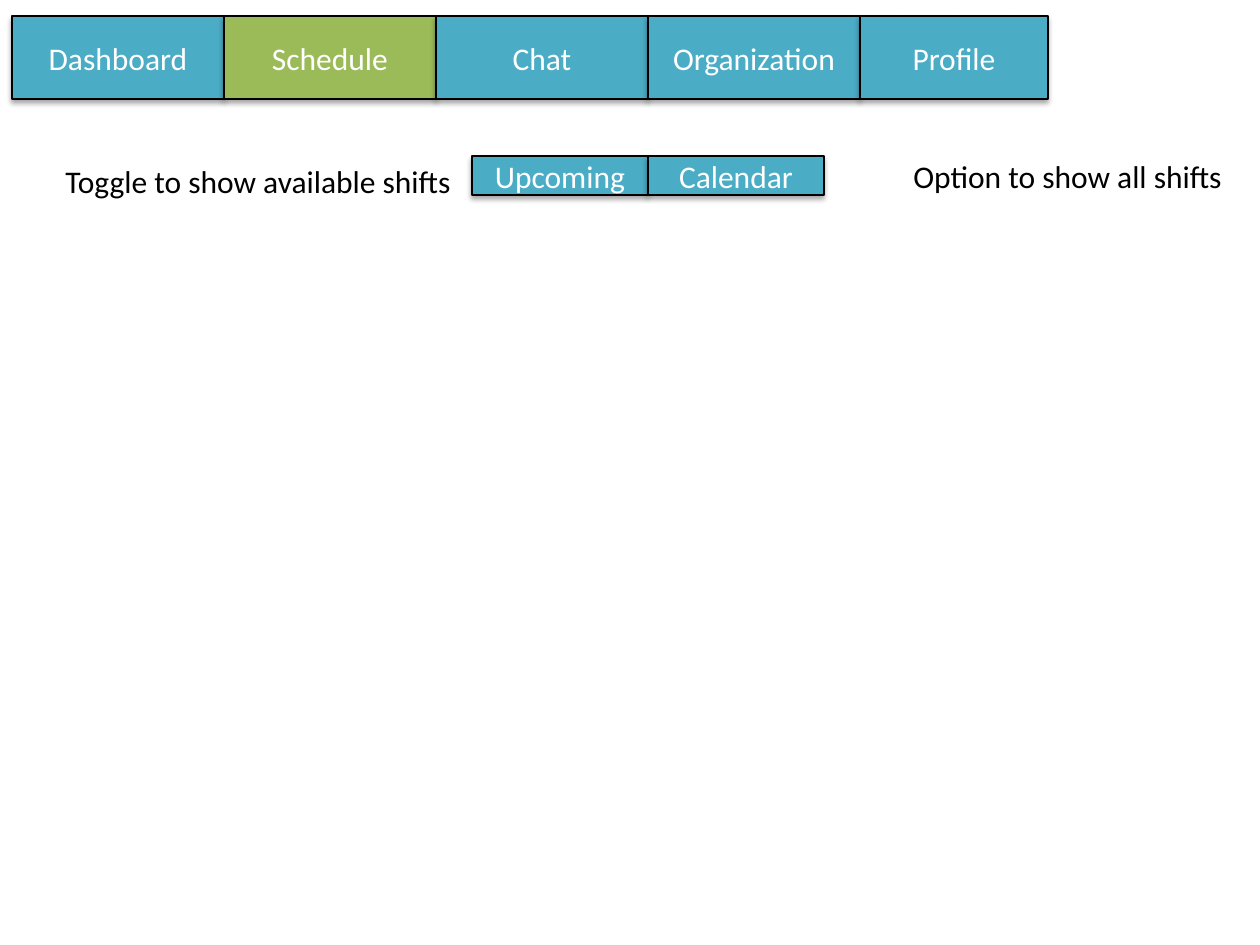
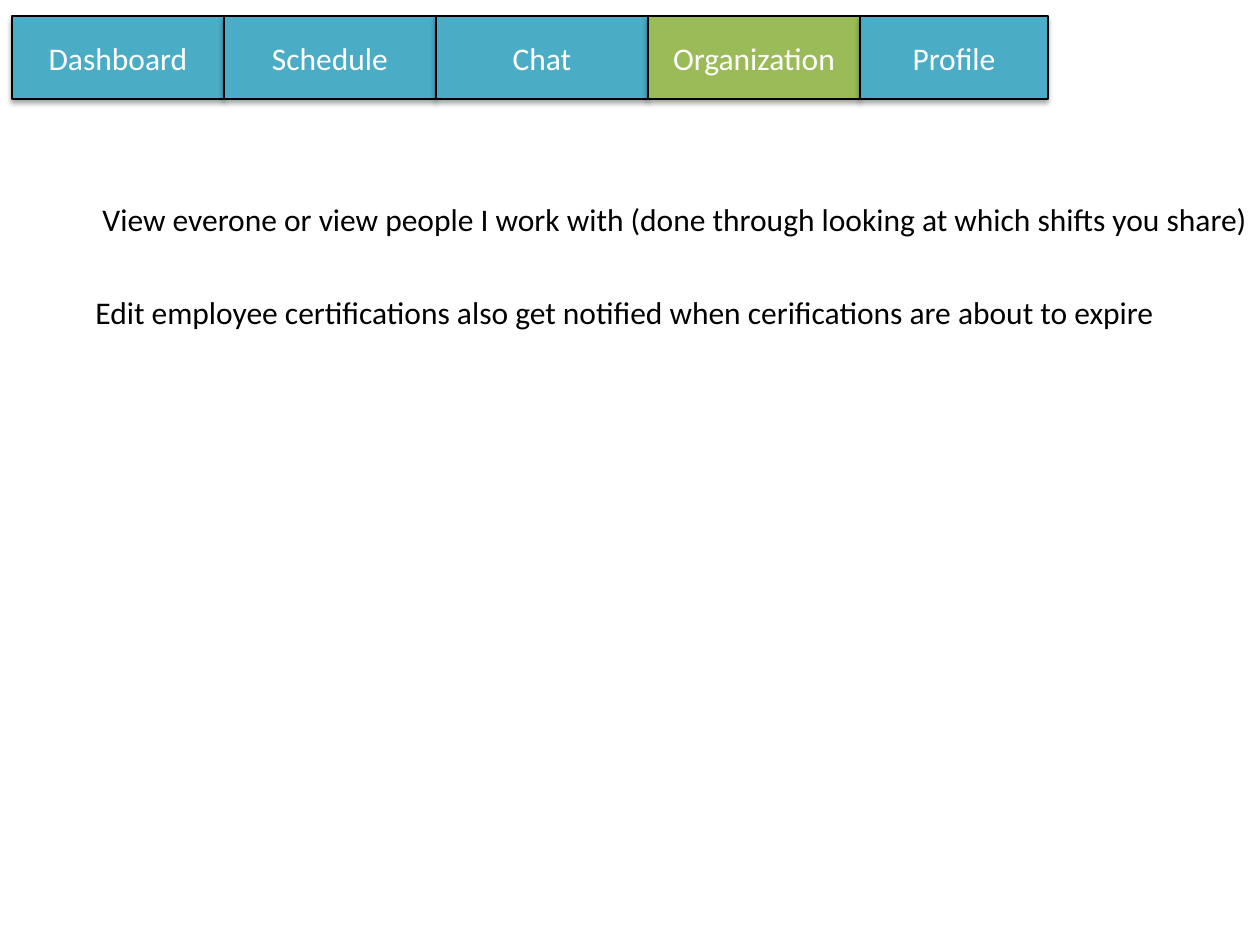
from lxml.etree import SubElement
from pptx import Presentation
from pptx.dml.color import RGBColor
from pptx.enum.shapes import MSO_SHAPE as Shape
from pptx.enum.text import MSO_ANCHOR as Anchor, MSO_AUTO_SIZE as AutoSize, PP_ALIGN as Align
from pptx.oxml.ns import qn
from pptx.util import Emu, Pt

COLORS = {"tab": "4BACC6", "active": "9BBB59", "ink": "000000", "paper": "FFFFFF"}
FONT = "Calibri"
TABS = [("Dashboard", 212), ("Schedule", 212), ("Chat", 212), ("Organization", 212), ("Profile", 188)]
VIEWS = [("Upcoming", 176), ("Calendar", 176)]


def px(length):
    """Turn a length at 126 px to the inch into EMU."""
    return Emu(round(length * 914400 / 126))


def color(name):
    """Look up a named colour."""
    return RGBColor.from_string(COLORS[name])


def write(shape, text, ink, align):
    """Write one paragraph in the deck's type style."""
    para = shape.text_frame.paragraphs[0]
    para.text = text
    para.alignment = align
    para.font.name = FONT
    para.font.size = Pt(18)
    para.font.color.rgb = color(ink)


def add_shadow(shape):
    """Give a shape a soft shadow straight below it."""
    shape.shadow.inherit = False
    effects = shape._element.spPr.find(qn("a:effectLst"))
    shadow = SubElement(effects, qn("a:outerShdw"), blurRad=str(Pt(3.1)), dist=str(Pt(1.8)),
                        dir="5400000", rotWithShape="0")
    tint = SubElement(shadow, qn("a:srgbClr"), val=COLORS["ink"])
    SubElement(tint, qn("a:alpha"), val="35000")


def add_button(page, text, left, top, width, height, fill):
    """Add one outlined button with a centred label."""
    button = page.shapes.add_shape(Shape.RECTANGLE, px(left), px(top), px(width), px(height))
    button.fill.solid()
    button.fill.fore_color.rgb = color(fill)
    button.line.color.rgb = color("ink")
    button.line.width = Pt(0.75)
    button.text_frame.vertical_anchor = Anchor.MIDDLE
    add_shadow(button)
    write(button, text, "paper", Align.CENTER)


def add_button_row(page, buttons, left, top, height, active=None):
    """Add touching buttons from left to right, with the active one highlighted."""
    for text, width in buttons:
        add_button(page, text, left, top, width, height, "active" if text == active else "tab")
        left += width


def add_note(page, text, left, top, width, height):
    """Add an unwrapped line of text."""
    box = page.shapes.add_textbox(px(left), px(top), px(width), px(height))
    box.text_frame.word_wrap = False
    box.text_frame.auto_size = AutoSize.SHAPE_TO_FIT_TEXT
    write(box, text, "ink", Align.LEFT)


def add_page(deck, active):
    """Add a blank page with the navigation bar."""
    page = deck.slides.add_slide(deck.slide_layouts[6])
    add_button_row(page, TABS, 12, 16, 83, active)
    return page


def main():
    """Build and save the deck."""
    deck = Presentation()
    deck.slide_width, deck.slide_height = px(1260), px(945)

    schedule = add_page(deck, "Schedule")
    add_button_row(schedule, VIEWS, 472, 156, 39)
    add_note(schedule, "Toggle to show available shifts", 53, 156, 420, 89)
    add_note(schedule, "Option to show all shifts", 901, 151, 339, 89)

    organization = add_page(deck, "Organization")
    add_note(organization, "Edit employee certifications also get notified when cerifications are about to expire",
             83, 287, 1100, 50)
    add_note(organization, " View everone or view people I work with (done through looking at which shifts you share)",
             83, 194, 1183, 50)

    deck.save("out.pptx")


if __name__ == "__main__":
    main()
